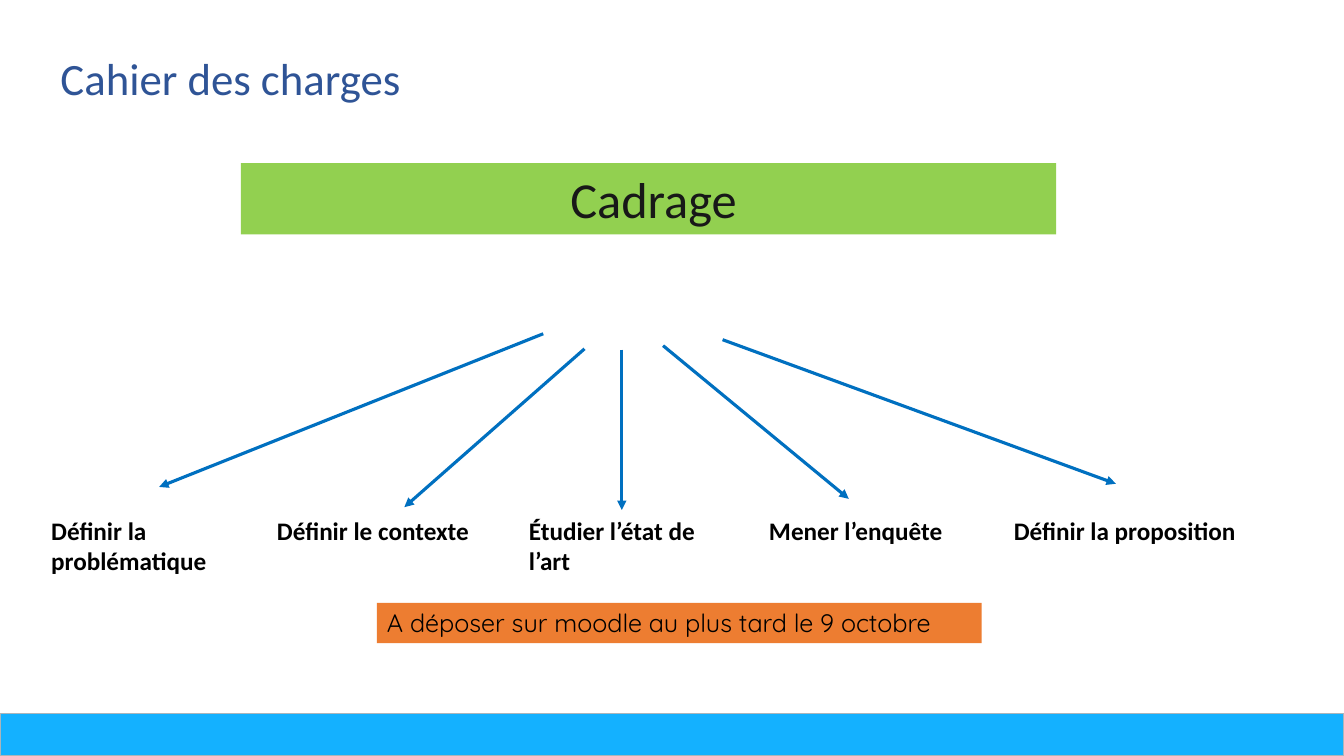
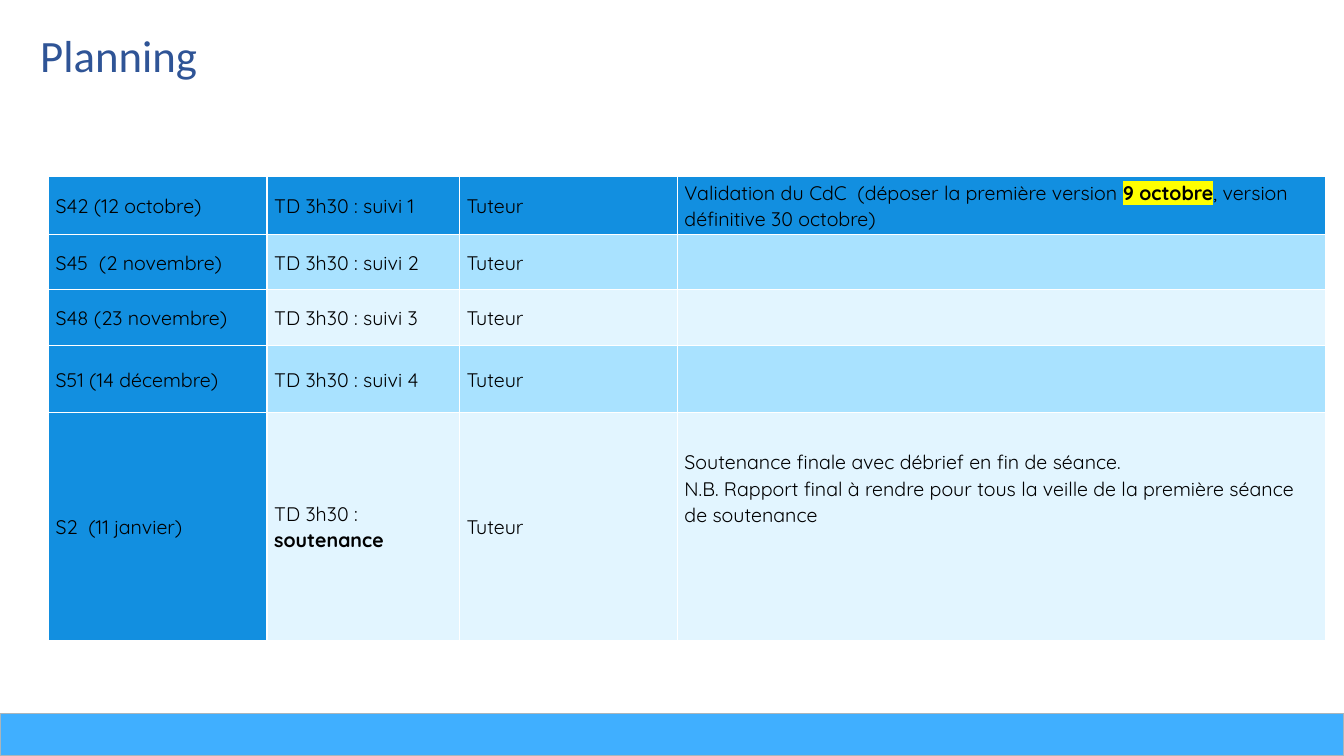
from lxml import etree
from pptx import Presentation
from pptx.dml.color import RGBColor
from pptx.enum import shapes, text
from pptx.oxml import ns
from pptx.util import Cm, Pt

WHITE = RGBColor(0xFF, 0xFF, 0xFF)
BLACK = RGBColor(0x00, 0x00, 0x00)
NAVY = RGBColor(0x2F, 0x54, 0x96)
CHARCOAL = RGBColor(0x18, 0x18, 0x18)
GREEN = RGBColor(0x92, 0xD0, 0x50)
ORANGE = RGBColor(0xED, 0x7D, 0x31)
ARROW_BLUE = RGBColor(0x00, 0x70, 0xC0)
FOOTER_CYAN = RGBColor(0x14, 0xB1, 0xFF)
FOOTER_BLUE = RGBColor(0x40, 0xAF, 0xFF)
FOOTER_EDGE = RGBColor(0xAA, 0xB5, 0xBB)
KEY_BLUE = RGBColor(0x12, 0x8F, 0xE0)
BAND_DARK = RGBColor(0xA9, 0xE2, 0xFF)
BAND_LIGHT = RGBColor(0xE2, 0xF5, 0xFF)
HIGHLIGHT = RGBColor(0xFF, 0xFF, 0x00)

BODY_FONT = "Calibri"
ACCENT_FONT = "Quicksand"
SLIDE_W, SLIDE_H = 33.87, 19.05
FOOTER_H = 1.07

STEPS = [
    ("Définir la problématique", 0, 5.46, (12.65, 0), (2.97, 3.86)),
    ("Définir le contexte", 5.69, 6.12, (13.69, 0.38), (9.15, 4.37)),
    ("Étudier l’état de l’art", 12.04, 5.08, (14.63, 0.4), (14.63, 4.44)),
    ("Mener l’enquête", 18.09, 5.08, (15.67, 0.3), (20.35, 4.16)),
    ("Définir la proposition", 24.26, 6.93, (17.17, 0.15), (27.08, 3.78)),
]
LABEL_TOP = 4.44

COLUMN_WIDTHS = [5.51, 4.85, 5.49, 16.33]
ROW_HEIGHTS = [1.45, 1.4, 1.4, 1.7, 5.74]
PLANNING = [
    ("S42 (12 octobre)", ["TD 3h30 : suivi 1"],
     [["Validation du CdC  (déposer la première version ", "9 octobre",
       ", version définitive 30 octobre)"]]),
    ("S45  (2 novembre)", ["TD 3h30 : suivi 2"], []),
    ("S48 (23 novembre)", ["TD 3h30 : suivi 3"], []),
    ("S51 (14 décembre)", ["TD 3h30 : suivi 4"], []),
    ("S2  (11 janvier)", ["TD 3h30 : ", "soutenance"],
     [["Soutenance finale avec débrief en fin de séance."],
      ["N.B. Rapport final à rendre pour tous la veille de la première séance "
       "de soutenance"]]),
]
BOLD_RUNS = {"9 octobre", "soutenance"}
HIGHLIGHTED_RUNS = {"9 octobre"}


def cm_box(*lengths):
    return [Cm(length) for length in lengths]


def set_font(p, name, size, color, bold=False):
    p.font.name = name
    p.font.size = Pt(size)
    p.font.color.rgb = color
    p.font.bold = bold


def add_title(s, title, left, top, width):
    sp = s.shapes.title
    sp.left, sp.top, sp.width, sp.height = cm_box(left, top, width, 1.63)
    tf = sp.text_frame
    tf.word_wrap = False
    tf.auto_size = text.MSO_AUTO_SIZE.SHAPE_TO_FIT_TEXT
    tf.vertical_anchor = text.MSO_ANCHOR.TOP
    p = tf.paragraphs[0]
    p.text = title
    p.alignment = text.PP_ALIGN.LEFT
    set_font(p, BODY_FONT, 32, NAVY)


def add_rect(s, box, fill):
    sp = s.shapes.add_shape(shapes.MSO_SHAPE.RECTANGLE, *cm_box(*box))
    sp.shadow.inherit = False
    sp.fill.solid()
    sp.fill.fore_color.rgb = fill
    sp.line.fill.background()
    return sp


def add_footer(s, color):
    sp = add_rect(s, (0, SLIDE_H - FOOTER_H, SLIDE_W, FOOTER_H), color)
    sp.line.color.rgb = FOOTER_EDGE
    sp.line.width = Pt(1)


def add_banner(s, box, fill, words, font, size, color, align):
    tf = add_rect(s, box, fill).text_frame
    tf.word_wrap = True
    tf.vertical_anchor = text.MSO_ANCHOR.TOP
    p = tf.paragraphs[0]
    p.text = words
    p.alignment = align
    set_font(p, font, size, color)
    return tf


def add_label(s, words, left, top, width):
    tf = s.shapes.add_textbox(*cm_box(left, top, width, 1.02)).text_frame
    tf.word_wrap = True
    tf.auto_size = text.MSO_AUTO_SIZE.SHAPE_TO_FIT_TEXT
    p = tf.paragraphs[0]
    p.text = words
    set_font(p, BODY_FONT, 18, BLACK, bold=True)


def add_arrow(s, start, end):
    arrow = s.shapes.add_connector(
        shapes.MSO_CONNECTOR.STRAIGHT, *cm_box(*start, *end))
    arrow.line.color.rgb = ARROW_BLUE
    arrow.line.width = Pt(2.25)
    etree.SubElement(arrow.line._get_or_add_ln(), ns.qn("a:tailEnd"), type="triangle")
    etree.SubElement(arrow._element.spPr, ns.qn("a:effectLst"))


def add_step_fan(s, left, top):
    for words, x, width, start, end in STEPS:
        add_label(s, words, left + x, top + LABEL_TOP, width)
        add_arrow(s, (left + start[0], top + start[1]),
                  (left + end[0], top + end[1]))


def add_color(parent, color):
    etree.SubElement(parent, ns.qn("a:srgbClr"), val=str(color))


def set_borders(cell):
    tcPr = cell._tc.get_or_add_tcPr()
    for side in ("lnL", "lnR", "lnT", "lnB"):
        ln = etree.SubElement(tcPr, ns.qn("a:" + side), w=str(Pt(1)))
        add_color(etree.SubElement(ln, ns.qn("a:solidFill")), WHITE)


def fill_cell(cell, paragraphs, color):
    set_borders(cell)
    cell.fill.solid()
    cell.fill.fore_color.rgb = color
    cell.vertical_anchor = text.MSO_ANCHOR.MIDDLE
    cell.margin_left = cell.margin_right = Cm(0.18)
    cell.margin_top = cell.margin_bottom = 0
    tf = cell.text_frame
    for i, runs in enumerate(paragraphs):
        p = tf.add_paragraph() if i else tf.paragraphs[0]
        p.line_spacing = 1.07
        set_font(p, ACCENT_FONT, 14, BLACK)
        for words in runs:
            r = p.add_run()
            r.text = words
            if words in BOLD_RUNS:
                r.font.bold = True
            if words in HIGHLIGHTED_RUNS:
                rPr = r._r.get_or_add_rPr()
                add_color(etree.SubElement(rPr, ns.qn("a:highlight")), HIGHLIGHT)


def cell_color(row, column):
    if row == 0 or column == 0:
        return KEY_BLUE
    return BAND_DARK if row % 2 else BAND_LIGHT


def add_planning_table(s, left, top):
    table = s.shapes.add_table(
        len(ROW_HEIGHTS), len(COLUMN_WIDTHS),
        *cm_box(left, top, sum(COLUMN_WIDTHS), sum(ROW_HEIGHTS))).table
    table.first_row = table.horz_banding = False
    for column, width in zip(table.columns, COLUMN_WIDTHS):
        column.width = Cm(width)
    for row, height in zip(table.rows, ROW_HEIGHTS):
        row.height = Cm(height)
    for i, (week, session, notes) in enumerate(PLANNING):
        for j, paragraphs in enumerate(([[week]], [session], [["Tuteur"]], notes)):
            fill_cell(table.cell(i, j), paragraphs, cell_color(i, j))
    table.cell(len(PLANNING) - 1, 3).margin_bottom = Cm(1.95)


def build_brief_slide(prs):
    s = prs.slides.add_slide(prs.slide_layouts[5])
    add_footer(s, FOOTER_CYAN)
    tf = add_banner(s, (6.07, 4.11, 20.55, 1.8), GREEN, "Cadrage",
                    BODY_FONT, 36, CHARCOAL, text.PP_ALIGN.CENTER)
    tf.margin_left = Cm(0.5)
    add_title(s, "Cahier des charges", 1.27, 1.14, 9.17)
    add_step_fan(s, 1.04, 8.41)
    add_banner(s, (9.5, 15.19, 15.24, 1.02), ORANGE,
               "A déposer sur moodle au plus tard le 9 octobre",
               ACCENT_FONT, 18, BLACK, text.PP_ALIGN.LEFT)


def build_planning_slide(prs):
    s = prs.slides.add_slide(prs.slide_layouts[5])
    add_planning_table(s, 1.22, 4.45)
    add_footer(s, FOOTER_BLUE)
    add_title(s, "Planning", 0.76, 0.58, 4.52)


def main():
    prs = Presentation()
    prs.slide_width, prs.slide_height = cm_box(SLIDE_W, SLIDE_H)
    build_brief_slide(prs)
    build_planning_slide(prs)
    prs.save("out.pptx")


if __name__ == "__main__":
    main()
